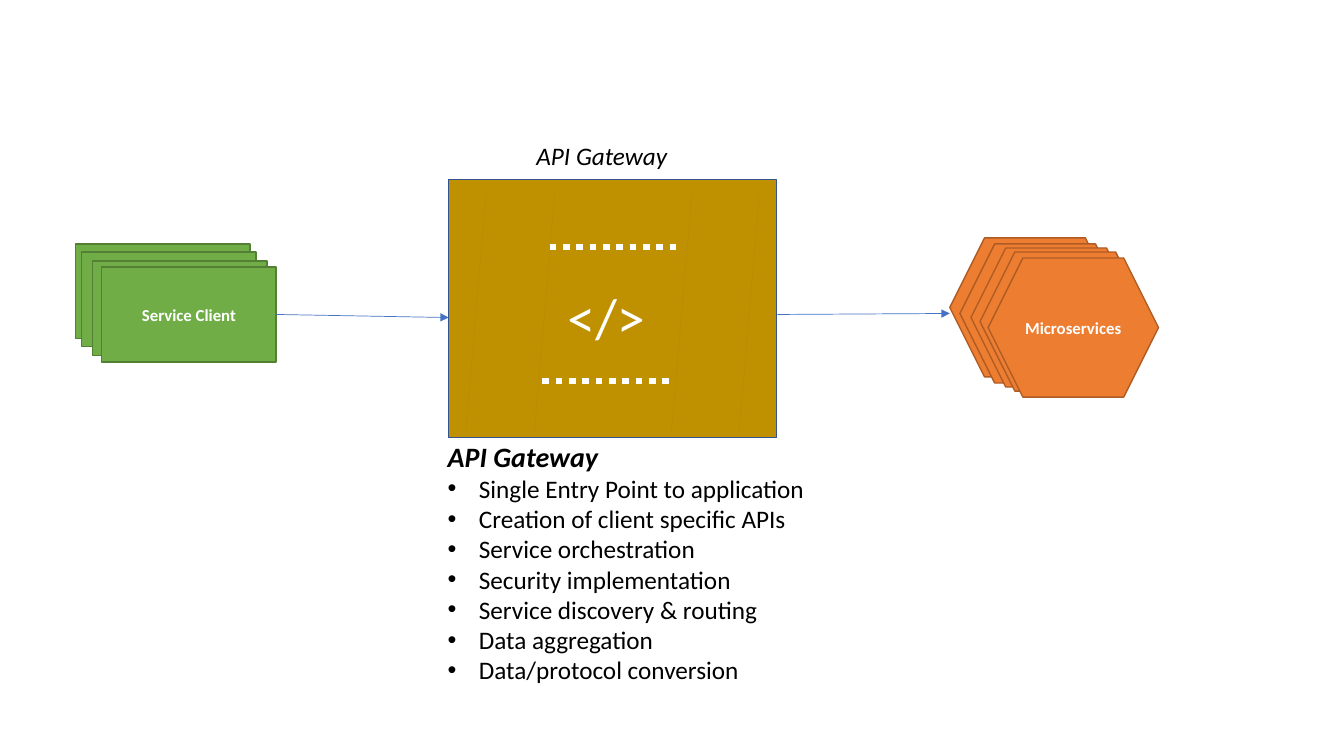
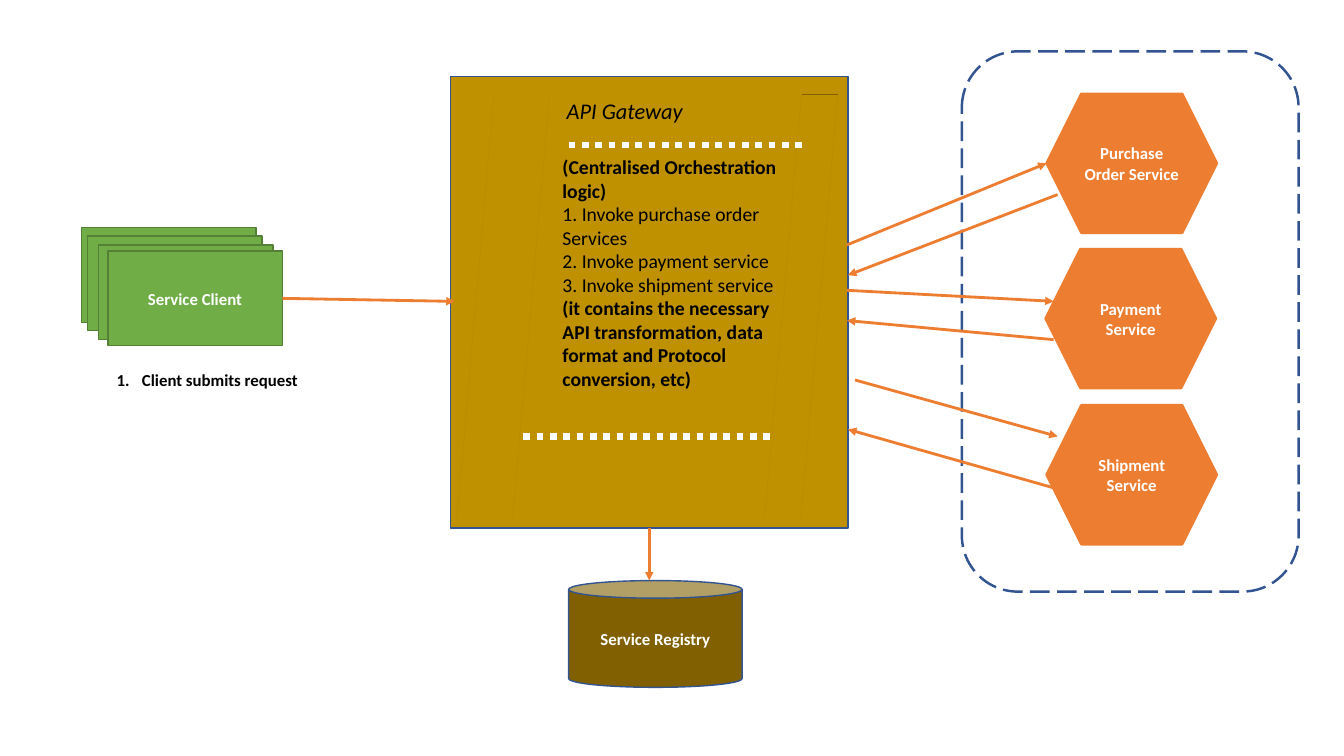
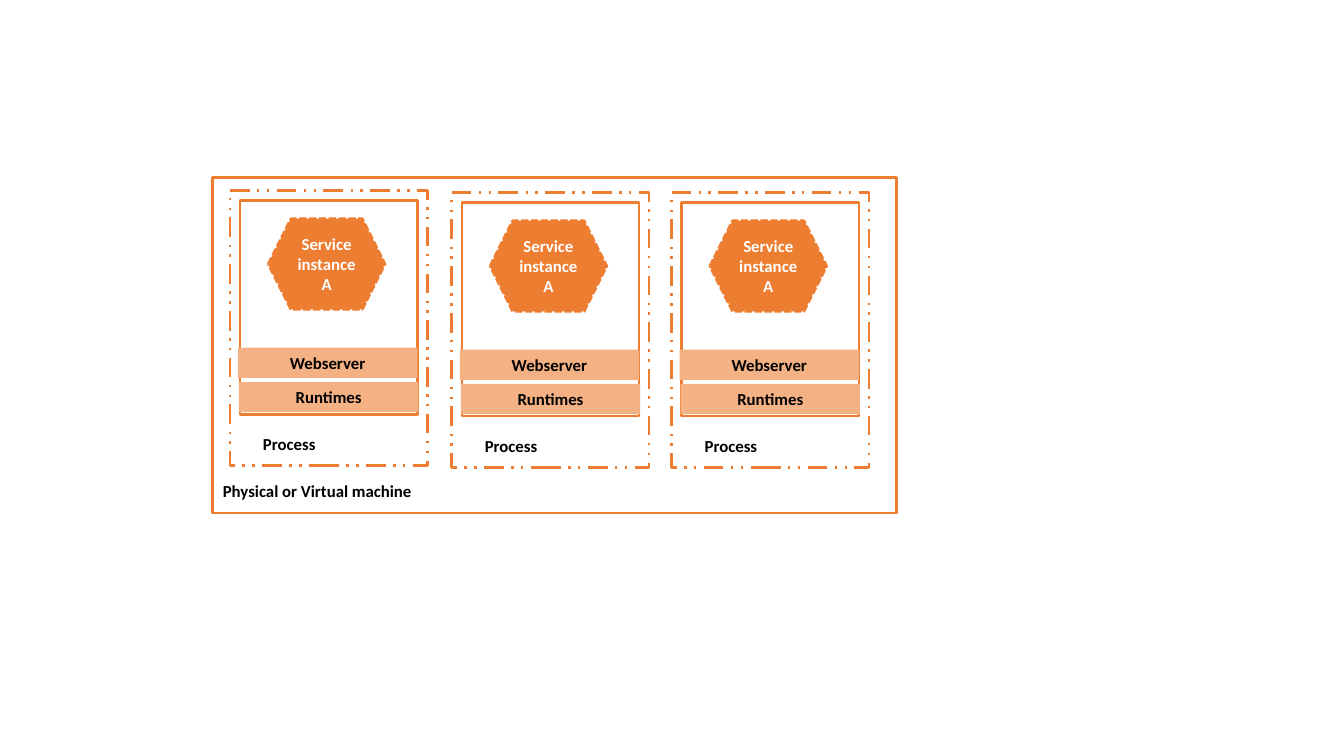
from lxml.etree import SubElement
from pptx import Presentation
from pptx.dml.color import RGBColor
from pptx.enum.dml import MSO_LINE
from pptx.enum.shapes import MSO_CONNECTOR, MSO_SHAPE
from pptx.enum.text import MSO_ANCHOR, MSO_AUTO_SIZE, PP_ALIGN
from pptx.oxml.ns import qn
from pptx.util import Inches, Pt

# Shared look
FONT = "Calibri"
BLACK = RGBColor(0x00, 0x00, 0x00)
WHITE = RGBColor(0xFF, 0xFF, 0xFF)
GOLD = RGBColor(0xBF, 0x90, 0x00)
GOLD_SHADE = RGBColor(0xB4, 0x88, 0x00)
BROWN = RGBColor(0x80, 0x60, 0x00)
NAVY = RGBColor(0x32, 0x54, 0x91)
BLUE = RGBColor(0x44, 0x72, 0xC4)
GREEN = RGBColor(0x70, 0xAD, 0x47)
DARK_GREEN = RGBColor(0x53, 0x80, 0x35)
ORANGE = RGBColor(0xED, 0x7D, 0x31)
DARK_ORANGE = RGBColor(0xAF, 0x5C, 0x24)
PEACH = RGBColor(0xF4, 0xB1, 0x83)

LAYOUT_CONTENT, LAYOUT_TITLE = 1, 5
HEXAGON_SIZE = (1.69, 1.38)
CLIENT_SIZE = (1.73, 0.94)

# Slide 1 content
GATEWAY_DUTIES = [
    "Single Entry Point to application",
    "Creation of client specific APIs",
    "Service orchestration",
    "Security implementation",
    "Service discovery & routing",
    "Data aggregation",
    "Data/protocol conversion",
]
MICROSERVICE_CORNERS = [(9.42, 2.36), (9.52, 2.42), (9.63, 2.46), (9.72, 2.5), (9.8, 2.56)]

# Slide 2 content: (text, bold)
ORCHESTRATION = [
    ("(Centralised Orchestration logic)", True),
    ("1. Invoke purchase order Services", False),
    ("2. Invoke payment service", False),
    ("3. Invoke shipment service", False),
    ("(it contains the necessary API transformation, data format and "
     "Protocol conversion, etc)", True),
]
SERVICES = [
    ("Purchase Order Service", 10.38, 0.93),
    ("Payment Service", 10.37, 2.47),
    ("Shipment Service", 10.38, 4.02),
]
CALLS = [
    ((2.8, 2.96), (4.51, 2.99)),
    ((8.4, 2.43), (10.38, 1.62)),
    ((8.4, 2.88), (10.45, 2.99)),
    ((8.48, 3.77), (10.49, 4.33)),
    ((10.49, 1.93), (8.41, 2.73)),
    ((10.45, 3.37), (8.4, 3.18)),
    ((10.45, 4.84), (8.41, 4.26)),
    ((6.44, 5.24), (6.44, 5.76)),
]

# Slide 3 content: left and top of each process
PROCESSES = [(2.28, 1.89), (4.48, 1.91), (6.66, 1.91)]


def style(para, size, bold=False, italic=False, color=BLACK, align=PP_ALIGN.LEFT):
    para.alignment = align
    para.space_before = Pt(0)
    para.line_spacing = 1.0
    font = para.font
    font.name, font.size, font.bold, font.italic = FONT, Pt(size), bold, italic
    font.color.rgb = color


def set_bullet(para, tag, indent=0.0, **attributes):
    props = para._p.get_or_add_pPr()
    props.set("marL", str(Inches(indent)))
    props.set("indent", str(-Inches(indent)))
    SubElement(props, qn("a:" + tag), attributes)


def place(box, at):
    box.left, box.top, box.width, box.height = map(Inches, at)


def prepare(holder, at):
    """Move a placeholder to the front and give it plain text settings."""
    place(holder, at)
    holder._element.getparent().append(holder._element)
    frame = holder.text_frame
    frame.word_wrap = True
    frame.auto_size = MSO_AUTO_SIZE.NONE
    frame.vertical_anchor = MSO_ANCHOR.TOP
    return frame


def add_title(page, at, text, size, **look):
    frame = prepare(page.shapes.title, at)
    frame.text = text
    style(frame.paragraphs[0], size, **look)


def add_text(page, at, lines, size, color=BLACK):
    """Add a text box; lines are (text, bold) pairs."""
    box = page.shapes.add_textbox(*map(Inches, at))
    frame = box.text_frame
    frame.word_wrap = True
    for number, (text, bold) in enumerate(lines):
        para = frame.add_paragraph() if number else frame.paragraphs[0]
        para.text = text
        style(para, size, bold, color=color)
    return box


def add_box(page, kind, at, fill=None, line=None, width=1.0, dash=None,
            text=None, color=WHITE):
    box = page.shapes.add_shape(kind, *map(Inches, at))
    box.shadow.inherit = False
    if fill is None:
        box.fill.background()
    else:
        box.fill.solid()
        box.fill.fore_color.rgb = fill
    if line is None:
        box.line.fill.background()
    else:
        box.line.color.rgb = line
        box.line.width = Pt(width)
        if dash is not None:
            box.line.dash_style = dash
    if text:
        frame = box.text_frame
        frame.word_wrap = True
        frame.vertical_anchor = MSO_ANCHOR.MIDDLE
        frame.text = text
        style(frame.paragraphs[0], 12, True, color=color, align=PP_ALIGN.CENTER)
    return box


def add_line(page, start, end, color, width, dash=None, arrow=False):
    line = page.shapes.add_connector(
        MSO_CONNECTOR.STRAIGHT, *map(Inches, start + end))
    line.line.color.rgb = color
    line.line.width = Pt(width)
    if dash is not None:
        line.line.dash_style = dash
    if arrow:
        SubElement(line.line._get_or_add_ln(), qn("a:tailEnd"), type="triangle")
    SubElement(line._element.spPr, qn("a:effectLst"))


def add_stack(page, kind, corners, size, fill, line, text):
    for corner in corners:
        label = text if corner == corners[-1] else None
        add_box(page, kind, corner + size, fill, line, text=label)


def add_clients(page, left, top):
    corners = [(left + right, top + down)
               for right, down in ((0, 0), (0.06, 0.08), (0.17, 0.17), (0.26, 0.23))]
    add_stack(page, MSO_SHAPE.RECTANGLE, corners, CLIENT_SIZE,
              GREEN, DARK_GREEN, "Service Client")


def add_gateway(page, at, creases, top, bottom, slant, dotted):
    """Gold panel with faint slanted creases and white dotted lines."""
    add_box(page, MSO_SHAPE.RECTANGLE, at, GOLD, NAVY)
    for x in creases:
        add_line(page, (x, top), (x - slant, bottom), GOLD_SHADE, 0.25, MSO_LINE.ROUND_DOT)
    for left, right, y in dotted:
        add_line(page, (left, y), (right, y), WHITE, 4.75, MSO_LINE.ROUND_DOT)


def build_overview(deck):
    page = deck.slides.add_slide(deck.slide_layouts[LAYOUT_CONTENT])
    add_gateway(page, (4.45, 1.78, 3.25, 2.56), (4.82, 5.5, 6.86, 7.53),
                1.94, 4.28, 0.2, [(5.45, 6.72, 2.45), (5.38, 6.64, 3.78)])
    add_title(page, (5.22, 1.34, 1.96, 0.4), "API Gateway", 18, italic=True)
    add_text(page, (5.53, 2.75, 1.09, 0.77), [("</>", False)], 40, WHITE)
    add_clients(page, 0.75, 2.42)
    add_stack(page, MSO_SHAPE.HEXAGON, MICROSERVICE_CORNERS, HEXAGON_SIZE,
              ORANGE, DARK_ORANGE, "Microservices")

    # Duties list
    frame = prepare(page.placeholders[1], (4.34, 4.31, 4.2, 2.56))
    heading = frame.paragraphs[0]
    heading.text = "API Gateway"
    set_bullet(heading, "buNone")
    style(heading, 20, bold=True, italic=True)
    for duty in GATEWAY_DUTIES:
        para = frame.add_paragraph()
        para.text = duty
        set_bullet(para, "buChar", 0.31, char="•")
        style(para, 18, align=PP_ALIGN.JUSTIFY)

    add_line(page, (2.74, 3.12), (4.45, 3.15), BLUE, 0.5, arrow=True)
    add_line(page, (7.71, 3.12), (9.42, 3.11), BLUE, 0.5, arrow=True)


def build_orchestration(deck):
    page = deck.slides.add_slide(deck.slide_layouts[LAYOUT_TITLE])
    add_box(page, MSO_SHAPE.ROUNDED_RECTANGLE, (9.54, 0.51, 3.34, 5.36),
            WHITE, NAVY, 1.75, MSO_LINE.LONG_DASH)
    add_gateway(page, (4.47, 0.76, 3.94, 4.48), (4.9, 5.45, 7.95, 8.31),
                0.93, 5.18, 0.37, [(5.64, 7.97, 1.44), (5.19, 7.69, 4.33)])
    add_line(page, (7.95, 0.93), (8.31, 0.93), BROWN, 0.25)
    add_title(page, (5.52, 0.91, 1.88, 0.37), "API Gateway", 16, italic=True)
    add_text(page, (5.48, 1.49, 2.35, 2.46), ORCHESTRATION, 14)
    add_clients(page, 0.81, 2.26)

    # Numbered caption under the clients
    caption = page.shapes.add_textbox(*map(Inches, (1.06, 3.62, 2.06, 0.3)))
    caption.text_frame.word_wrap = True
    para = caption.text_frame.paragraphs[0]
    para.text = "Client submits request"
    set_bullet(para, "buAutoNum", 0.25, type="arabicPeriod")
    style(para, 12, bold=True)

    # Services, registry and calls
    for name, left, top in SERVICES:
        add_box(page, MSO_SHAPE.HEXAGON, (left, top) + HEXAGON_SIZE,
                ORANGE, ORANGE, 1.75, text=name)
    registry = add_box(page, MSO_SHAPE.CAN, (5.64, 5.76, 1.72, 1.06),
                       BROWN, NAVY, text="Service Registry")
    registry.adjustments[0] = 0.165
    for start, end in CALLS:
        add_line(page, start, end, ORANGE, 2, arrow=True)


def build_machine(deck):
    page = deck.slides.add_slide(deck.slide_layouts[LAYOUT_TITLE])
    add_box(page, MSO_SHAPE.RECTANGLE, (2.11, 1.76, 6.78, 3.33), line=ORANGE, width=1.75)
    add_title(page, (2.11, 4.72, 3, 0.3), "Physical or Virtual machine", 12, bold=True)
    for left, top in PROCESSES:
        add_box(page, MSO_SHAPE.RECTANGLE, (left, top, 1.96, 2.73),
                line=ORANGE, width=1.75, dash=MSO_LINE.DASH_DOT_DOT)
        add_box(page, MSO_SHAPE.RECTANGLE, (left + 0.1, top + 0.1, 1.76, 2.12),
                WHITE, ORANGE, 1.75)
        add_box(page, MSO_SHAPE.HEXAGON, (left + 0.38, top + 0.28, 1.16, 0.9),
                ORANGE, ORANGE, 1.75, MSO_LINE.SQUARE_DOT, "Service instance A")
        for layer, right, down in (("Runtimes", 0.09, 1.9), ("Webserver", 0.08, 1.56)):
            add_box(page, MSO_SHAPE.RECTANGLE, (left + right, top + down, 1.78, 0.3),
                    PEACH, text=layer, color=BLACK)
        add_text(page, (left + 0.23, top + 2.36, 1.26, 0.3), [("Process", True)], 12)


def main():
    deck = Presentation()
    deck.slide_width, deck.slide_height = Inches(13.33), Inches(7.5)
    build_overview(deck)
    build_orchestration(deck)
    build_machine(deck)
    deck.save("out.pptx")


if __name__ == "__main__":
    main()
